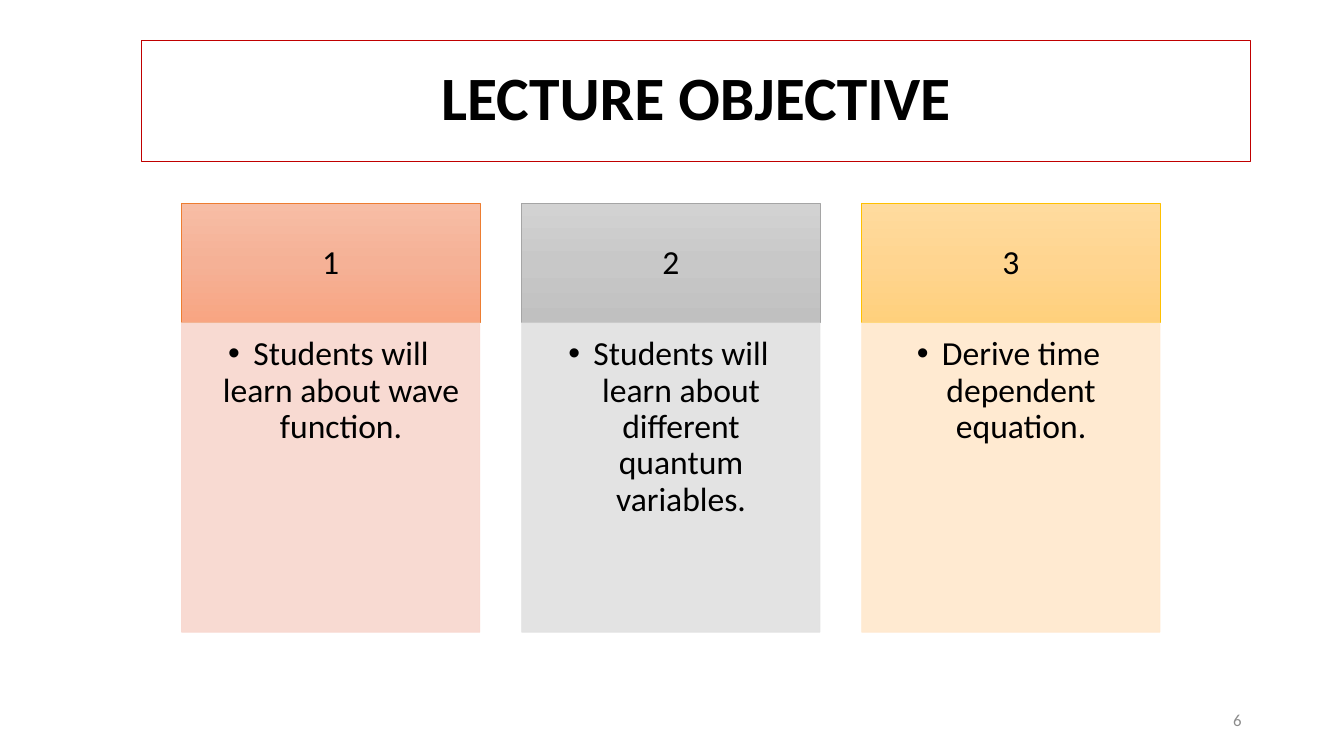
from copy import deepcopy

from lxml import etree
from pptx import Presentation
from pptx import util as u
from pptx.dml.color import RGBColor
from pptx.enum import shapes, text
from pptx.oxml.ns import qn

Pt = u.Pt
color = RGBColor.from_string


def add_box(left, top, width, height, line=None, line_width=0.5):
    """Add an unfilled rectangle, outlined only if a line colour is given."""
    box = slide.shapes.add_shape(shapes.MSO_SHAPE.RECTANGLE, Pt(left), Pt(top), Pt(width), Pt(height))
    box.shadow.inherit = False
    box.fill.background()
    if line:
        box.line.color.rgb = color(line)
        box.line.width = Pt(line_width)
    else:
        box.line.fill.background()
    return box


def write(box, words, size, insets, anchor=text.MSO_ANCHOR.MIDDLE,
          align=text.PP_ALIGN.CENTER, ink="000000", bold=False):
    """Put one line-wrapped paragraph into the box and return it."""
    frame = box.text_frame
    frame.word_wrap = True
    frame.vertical_anchor = anchor
    frame.margin_left, frame.margin_top, frame.margin_right, frame.margin_bottom = map(Pt, insets)
    paragraph = frame.paragraphs[0]
    paragraph.alignment = align
    paragraph.line_spacing = 0.9
    run = paragraph.add_run()
    run.text = words
    run.font.name = "Calibri"
    run.font.size = Pt(size)
    run.font.bold = bold
    run.font.color.rgb = color(ink)
    return paragraph


prs = Presentation()
prs.slide_width, prs.slide_height = Pt(960), Pt(540)
slide = prs.slides.add_slide(prs.slide_layouts[6])

default_insets = (7.2, 3.6, 7.2, 3.6)
title = add_box(100.8, 28.8, 792.7, 86.4, "C00000", 0.75)
write(title, "LECTURE OBJECTIVE", 44, default_insets, bold=True)

page_number = add_box(678, 500.5, 216, 28.75)
write(page_number, "6", 12, default_insets, align=text.PP_ALIGN.RIGHT, ink="8C8C8C")

objectives = [
    ("Students will learn about wave function.", ("F7BDA5", "F5B196", "F8A582"), "ED7D31", "F8D7CE"),
    ("Students will learn about different quantum variables.", ("D2D2D2", "C8C8C8", "C0C0C0"), "A5A5A5", "E1E1E1"),
    ("Derive time dependent equation.", ("FFDB9E", "FFD590", "FFD07C"), "FFC000", "FFE8CC"),
]
first_left, column_step, column_width = 129.7, 242.9, 213.1
header_top, header_height, body_height = 145.6, 85, 221

for index, (objective, gradient, outline, tint) in enumerate(objectives):
    left = first_left + index * column_step

    header = add_box(left, header_top, column_width, header_height, outline)
    header.fill.gradient()
    header.fill.gradient_angle = 270
    first_stop = header._element.spPr.find(".//" + qn("a:gs"))
    first_stop.addnext(deepcopy(first_stop))
    for stop, position, shade in zip(header.fill.gradient_stops, (0, 0.5, 1), gradient):
        stop.position = position
        stop.color.rgb = color(shade)
    write(header, str(index + 1), 24, (13.4, 7.7, 13.4, 7.7))

    body = add_box(left, header_top + header_height, column_width, body_height, tint)
    body.fill.solid()
    body.fill.fore_color.rgb = color(tint)
    for tint_element in body._element.spPr.iter(qn("a:srgbClr")):
        etree.SubElement(tint_element, qn("a:alpha"), val="90000")
    paragraph = write(body, objective, 24, (10.1, 10.1, 13.4, 15.1), text.MSO_ANCHOR.TOP)
    properties = paragraph._p.get_or_add_pPr()
    properties.set("marL", str(Pt(18)))
    properties.set("indent", str(Pt(-18)))
    etree.SubElement(properties, qn("a:buFont"), typeface="Arial")
    etree.SubElement(properties, qn("a:buChar"), char="•")

prs.save("out.pptx")
